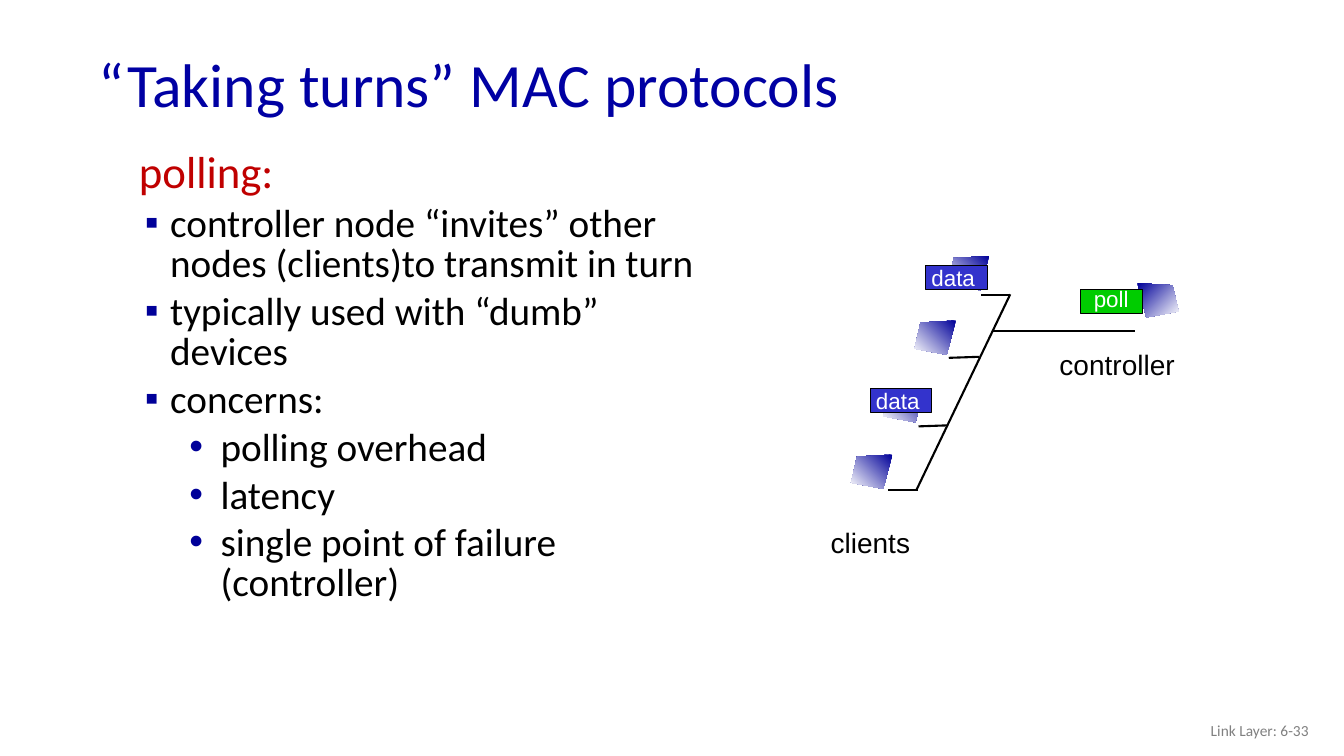
from dataclasses import dataclass

from lxml.etree import SubElement
from pptx import Presentation
from pptx.dml.color import RGBColor
from pptx.enum.shapes import MSO_CONNECTOR, MSO_SHAPE
from pptx.enum.text import MSO_ANCHOR, MSO_AUTO_SIZE, PP_ALIGN
from pptx.oxml.ns import qn
from pptx.util import Inches, Pt

COLORS = {
    "title": "0000A3", "heading": "C00000", "bullet": "000099", "text": "000000",
    "footer": "808080", "white": "FFFFFF", "poll": "00CC00", "data": "3333CC",
}


@dataclass
class Label:
    text: str
    left: float
    top: float
    width: float
    height: float
    size: float
    color: str = "text"
    font: str = "Arial"
    wrap: bool = False
    anchor: MSO_ANCHOR = MSO_ANCHOR.TOP
    align: PP_ALIGN = PP_ALIGN.LEFT
    spacing: float = 1.0


@dataclass
class Item:
    text: str
    margin: float = 0.31
    indent: float = -0.25
    bullet: str = "▪"
    level: int = 0
    size: int = 28
    color: str = "text"


@dataclass
class Tag:
    text: str
    left: float
    top: float
    shift_x: float
    shift_y: float
    text_width: float


@dataclass
class Wire:
    start: tuple[float, float]
    end: tuple[float, float]
    width: float = 1.5


def rgb(name: str) -> RGBColor:
    return RGBColor.from_string(COLORS[name])


def set_all(target, values: dict) -> None:
    for name, value in values.items():
        setattr(target, name, value)


def style_font(font, name: str, size: float, color: str) -> None:
    set_all(font, {"name": name, "size": Pt(size)})
    font.color.rgb = rgb(color)


def add_box(page, left: float, top: float, width: float, height: float):
    return page.shapes.add_textbox(Inches(left), Inches(top), Inches(width), Inches(height))


def add_label(page, label: Label) -> None:
    box = add_box(page, label.left, label.top, label.width, label.height)
    fit = MSO_AUTO_SIZE.NONE if label.wrap else MSO_AUTO_SIZE.SHAPE_TO_FIT_TEXT
    set_all(box.text_frame, {"word_wrap": label.wrap, "auto_size": fit,
                             "vertical_anchor": label.anchor})
    para = box.text_frame.paragraphs[0]
    set_all(para, {"alignment": label.align, "line_spacing": label.spacing})
    span = para.add_run()
    span.text = label.text
    style_font(span.font, label.font, label.size, label.color)


def add_item(para, item: Item, first: bool) -> None:
    props = para._p.get_or_add_pPr()
    props.set("marL", str(Inches(item.margin)))
    props.set("indent", str(Inches(item.indent)))
    if item.bullet:
        color = SubElement(props, qn("a:buClr"))
        SubElement(color, qn("a:srgbClr"), val=COLORS["bullet"])
        SubElement(props, qn("a:buFont"), typeface="Arial")
        SubElement(props, qn("a:buChar"), char=item.bullet)
    else:
        SubElement(props, qn("a:buNone"))
    set_all(para, {"level": item.level, "line_spacing": 0.85,
                   "space_before": Pt(0 if first else item.size * 0.2)})
    span = para.add_run()
    span.text = item.text
    style_font(span.font, "Calibri", item.size, item.color)


def add_screen(page, corner: tuple[float, float], direction: int) -> None:
    """Draw a slanted screen from its upper outer corner; direction -1 runs left."""
    outline = [(0.35, 0.02), (0.41, 0.28), (0.09, 0.34)]
    x, y = corner
    builder = page.shapes.build_freeform(Inches(x), Inches(y))
    builder.add_line_segments(
        [(Inches(x + direction * dx), Inches(y + dy)) for dx, dy in outline], close=True)
    screen = builder.convert_to_shape()
    screen.shadow.inherit = False
    screen.line.fill.background()
    screen.fill.gradient()
    screen.fill.gradient_angle = 315 if direction > 0 else 225
    for stop, color in zip(screen.fill.gradient_stops, ("bullet", "white")):
        stop.color.rgb = rgb(color)


def add_tag(page, tag: Tag) -> None:
    plate = page.shapes.add_shape(MSO_SHAPE.RECTANGLE, Inches(tag.left), Inches(tag.top),
                                  Inches(0.61), Inches(0.24))
    plate.shadow.inherit = False
    plate.fill.solid()
    plate.fill.fore_color.rgb = rgb(tag.text)
    plate.line.color.rgb = rgb("text")
    plate.line.width = Pt(0.75)
    add_label(page, Label(tag.text, tag.left + tag.shift_x, tag.top + tag.shift_y,
                          tag.text_width, 0.37, 16, "white"))


def add_wire(page, wire: Wire) -> None:
    ends = [Inches(value) for value in (*wire.start, *wire.end)]
    line = page.shapes.add_connector(MSO_CONNECTOR.STRAIGHT, *ends)
    line.line.color.rgb = rgb("text")
    line.line.width = Pt(wire.width)
    SubElement(line._element.spPr, qn("a:effectLst"))


HEADINGS = [
    Label("“Taking turns” MAC protocols", 0.88, 0.38, 11.5, 0.98, 44, "title", "Calibri",
          True, MSO_ANCHOR.MIDDLE, spacing=0.9),
    Label("Link Layer: 6-33", 10.08, 7.05, 3, 0.4, 11, "footer", "Calibri",
          True, MSO_ANCHOR.MIDDLE, PP_ALIGN.RIGHT),
]
SUB = {"margin": 0.81, "indent": -0.31, "bullet": "•", "level": 1}
ITEMS = [
    Item("polling:", 0.38, -0.38, "", size=32, color="heading"),
    Item("controller node “invites” other nodes (clients)to transmit in turn"),
    Item("typically used with “dumb” devices"),
    Item("concerns:"),
    Item("polling overhead", **SUB),
    Item("latency", **SUB),
    Item("single point of failure (controller)", **SUB),
]
CLIENTS = [(8.85, 4.51), (9.17, 3.85), (9.48, 3.18), (9.81, 2.54)]
CONTROLLER = (11.28, 2.81)
NODE_NAMES = [
    Label("controller", 10.41, 3.4, 1.36, 0.44, 20),
    Label("clients", 8.14, 5.16, 1, 0.44, 20),
]
TAGS = [
    Tag("poll", 10.72, 2.87, 0.03, -0.09, 0.55),
    Tag("data", 8.63, 3.85, -0.04, -0.06, 0.63),
    Tag("data", 9.18, 2.63, -0.04, -0.06, 0.63),
]
THIN_WIRE = Wire((9.74, 2.93), (10.02, 2.93), 0.75)
WIRES = [
    Wire((9.85, 3.28), (11.26, 3.28)),
    Wire((9.73, 2.93), (10.02, 2.93)),
    Wire((9.09, 4.86), (10.02, 2.92)),
    Wire((9.41, 3.55), (9.71, 3.54)),
    Wire((9.11, 4.23), (9.4, 4.22)),
    Wire((8.81, 4.86), (9.1, 4.86)),
]


def main() -> None:
    deck = Presentation()
    set_all(deck, {"slide_width": Inches(13.33), "slide_height": Inches(7.5)})
    page = deck.slides.add_slide(deck.slide_layouts[6])

    # Title and footer
    for label in HEADINGS:
        add_label(page, label)

    # Network nodes
    for corner in CLIENTS:
        add_screen(page, corner, -1)
    add_screen(page, CONTROLLER, 1)

    # Polling notes
    frame = add_box(page, 1.28, 1.46, 6, 5.54).text_frame
    frame.word_wrap = True
    for index, item in enumerate(ITEMS):
        para = frame.add_paragraph() if index else frame.paragraphs[0]
        add_item(para, item, index == 0)

    # Node names, message tags and the shared bus
    add_wire(page, THIN_WIRE)
    for label in NODE_NAMES:
        add_label(page, label)
    for tag in TAGS:
        add_tag(page, tag)
    for wire in WIRES:
        add_wire(page, wire)

    deck.save("out.pptx")


if __name__ == "__main__":
    main()
